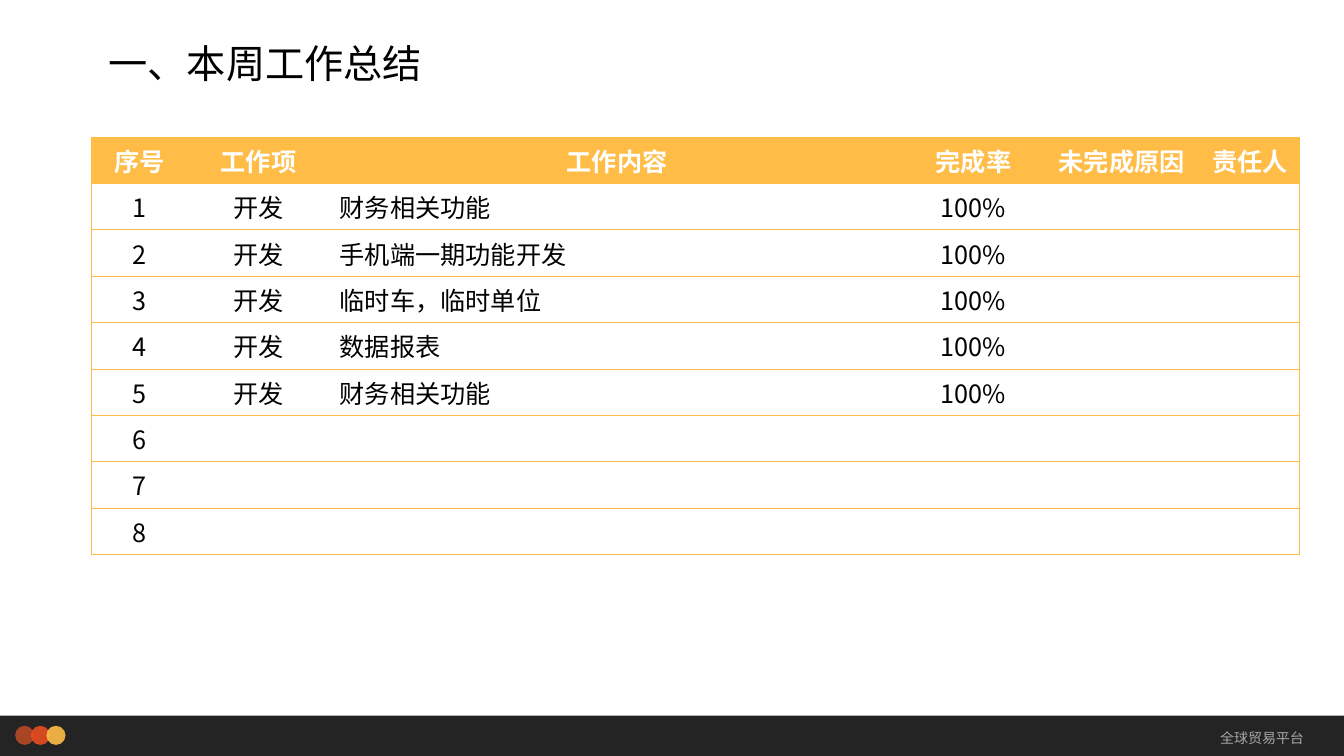
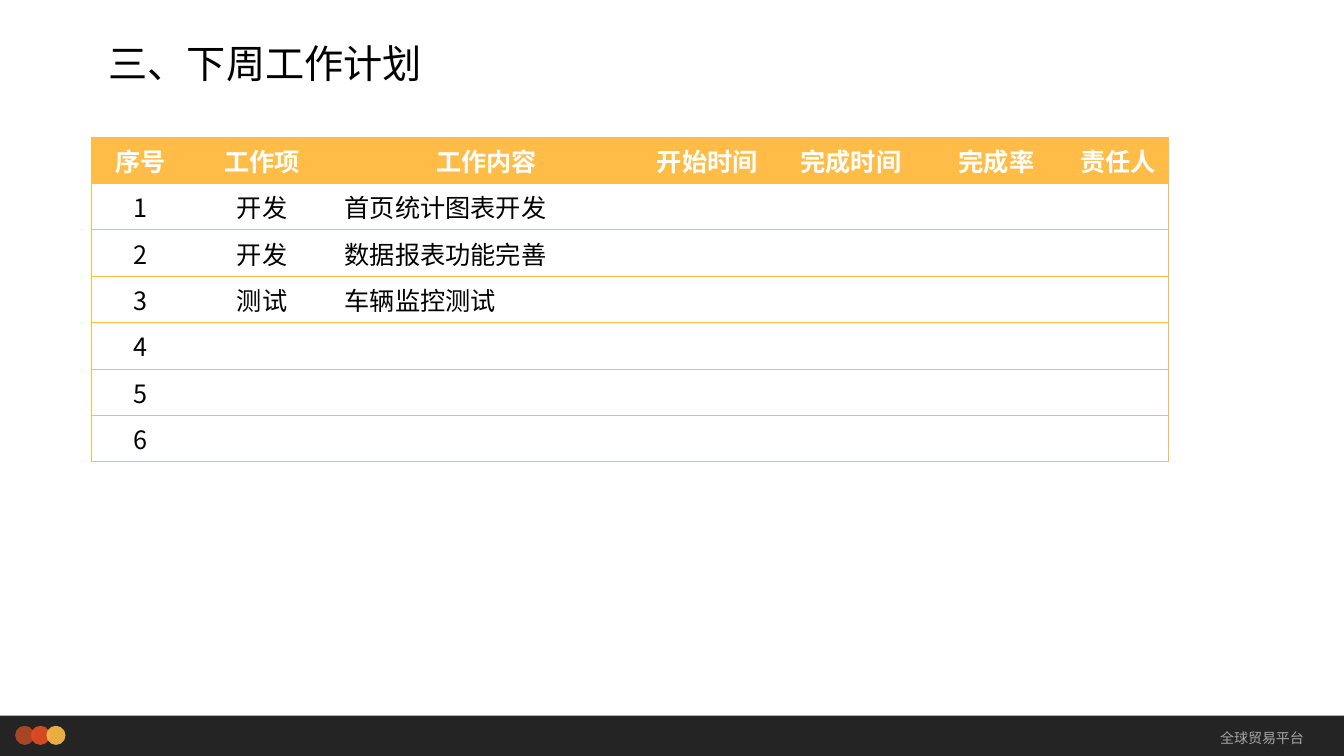
from dataclasses import dataclass

from lxml import etree
from pptx import Presentation
from pptx.dml.color import RGBColor
from pptx.enum.shapes import MSO_SHAPE
from pptx.enum.text import MSO_ANCHOR, PP_ALIGN
from pptx.oxml.ns import qn
from pptx.util import Inches, Pt

RECTANGLE, OVAL = MSO_SHAPE.RECTANGLE, MSO_SHAPE.OVAL
LEFT, CENTER, RIGHT = PP_ALIGN.LEFT, PP_ALIGN.CENTER, PP_ALIGN.RIGHT
MIDDLE, BOTTOM = MSO_ANCHOR.MIDDLE, MSO_ANCHOR.BOTTOM
PLAIN_TABLE_STYLE = "{2D5ABB26-0587-4C30-8999-92F81FD0307C}"


@dataclass(frozen=True)
class Theme:
    font: str = "Noto Sans CJK SC"
    ink: str = "000000"
    white: str = "FFFFFF"
    accent: str = "FFBD47"
    band: str = "0D0D0D"
    dots: tuple = ("B64926", "E84C22", "FFBD47")
    footer: str = "A6A6A6"
    band_opacity: int = 90
    title_size: int = 28
    table_size: int = 18
    footer_size: int = 10
    border_width: float = 0.5


theme = Theme()


def write_text(frame, text, *, size, color, bold=False, align=LEFT, spacing=None):
    para = frame.paragraphs[0]
    para.alignment = align
    if spacing:
        para.line_spacing = spacing
    span = para.add_run()
    span.text = text
    span.font.size = Pt(size)
    span.font.bold = bold
    span.font.color.rgb = RGBColor.from_string(color)
    span.font.name = theme.font
    etree.SubElement(span.font._element, qn("a:ea"), typeface=theme.font)


def add_band_shape(page, kind, left, top, width, height, color):
    shape = page.shapes.add_shape(
        kind, Inches(left), Inches(top), Inches(width), Inches(height))
    shape.shadow.inherit = False
    shape.line.fill.background()
    shape.fill.solid()
    shape.fill.fore_color.rgb = RGBColor.from_string(color)
    fill_color = shape._element.spPr.find(qn("a:solidFill"))[0]
    etree.SubElement(fill_color, qn("a:alpha"), val=str(theme.band_opacity * 1000))


# Page content: title, column widths, header, filled cells, number of rows
pages = [
    dict(
        title="一、本周工作总结",
        widths=[0.95, 1.41, 5.7, 1.37, 1.57, 0.98],
        header=["序号", "工作项", "工作内容", "完成率", "未完成原因", "责任人"],
        tasks=[
            ["开发", "财务相关功能", "100%"],
            ["开发", "手机端一期功能开发", "100%"],
            ["开发", "临时车，临时单位", "100%"],
            ["开发", "数据报表", "100%"],
            ["开发", "财务相关功能", "100%"],
        ],
        count=8,
    ),
    dict(
        title="三、下周工作计划",
        widths=[0.97, 1.44, 3.01, 1.37, 1.48, 1.41, 1],
        header=["序号", "工作项", "工作内容", "开始时间", "完成时间", "完成率", "责任人"],
        tasks=[
            ["开发", "首页统计图表开发"],
            ["开发", "数据报表功能完善"],
            ["测试", "车辆监控测试"],
        ],
        count=6,
    ),
]
CONTENT_COLUMN = 2
ROW_HEIGHT = 0.46

deck = Presentation()
deck.slide_width, deck.slide_height = Inches(13.33), Inches(7.5)

for content in pages:
    page = deck.slides.add_slide(deck.slide_layouts[6])

    # Bottom band with three overlapping dots
    add_band_shape(page, RECTANGLE, 0, 7.1, 13.33, 0.4, theme.band)
    for index, color in enumerate(theme.dots):
        add_band_shape(page, OVAL, 0.15 + index * 0.155, 7.2, 0.19, 0.19, color)

    # Footer and title
    footer = page.shapes.add_textbox(
        Inches(10.77), Inches(7.1), Inches(2.26), Inches(0.44)).text_frame
    footer.word_wrap = True
    footer.vertical_anchor = MIDDLE
    write_text(footer, "全球贸易平台", size=theme.footer_size,
               color=theme.footer, align=RIGHT)

    title = page.shapes.add_textbox(
        Inches(0.98), Inches(0.15), Inches(10), Inches(0.76)).text_frame
    title.word_wrap = True
    title.vertical_anchor = BOTTOM
    write_text(title, content["title"], size=theme.title_size,
               color=theme.ink, spacing=0.9)

    # Table frame
    widths, tasks = content["widths"], content["tasks"]
    row_count = content["count"] + 1
    table = page.shapes.add_table(
        row_count, len(widths), Inches(0.91), Inches(1.36),
        Inches(sum(widths)), Inches(ROW_HEIGHT * row_count)).table
    table.horz_banding = False
    table._tbl.tblPr.find(qn("a:tableStyleId")).text = PLAIN_TABLE_STYLE
    for column, width in zip(table.columns, widths):
        column.width = Inches(width)

    # Table cells: numbered rows, padded to the full width
    last = len(widths) - 1
    for row_index, row in enumerate(table.rows):
        row.height = Inches(ROW_HEIGHT)
        is_header = row_index == 0
        if is_header:
            values = content["header"]
        else:
            task = tasks[row_index - 1] if row_index <= len(tasks) else []
            values = [str(row_index)] + task
            values = values + [""] * (len(widths) - len(values))

        for column_index, (cell, text) in enumerate(zip(row.cells, values)):
            edges = {"L": column_index == 0, "R": column_index == last,
                     "T": True, "B": True}
            properties = cell._tc.get_or_add_tcPr()
            for side, visible in edges.items():
                if visible:
                    border = etree.SubElement(
                        properties, qn(f"a:ln{side}"), w=str(Pt(theme.border_width)))
                    paint = etree.SubElement(border, qn("a:solidFill"))
                    etree.SubElement(paint, qn("a:srgbClr"), val=theme.accent)
            if is_header:
                cell.fill.solid()
                cell.fill.fore_color.rgb = RGBColor.from_string(theme.accent)
            else:
                cell.fill.background()
            if text:
                is_content = column_index == CONTENT_COLUMN and not is_header
                write_text(cell.text_frame, text, size=theme.table_size,
                           color=theme.white if is_header else theme.ink,
                           bold=is_header, align=LEFT if is_content else CENTER)

deck.save("out.pptx")
